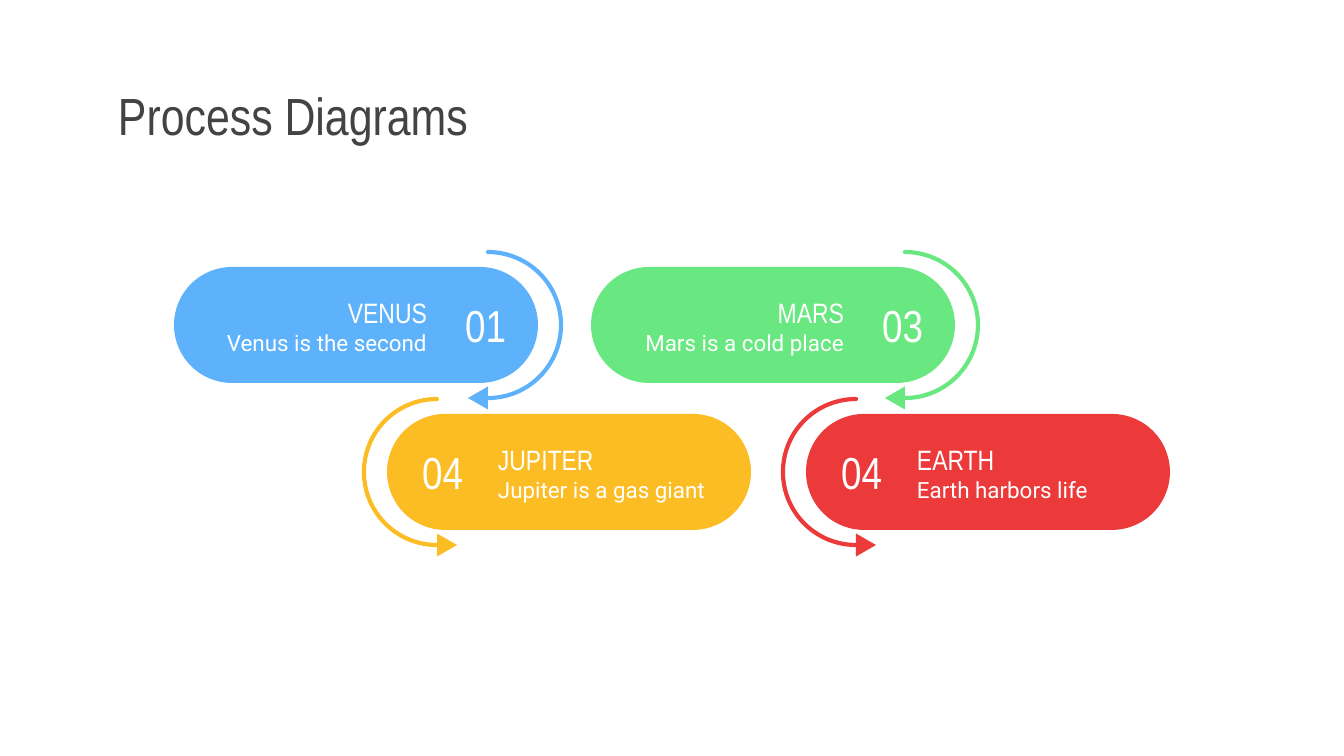
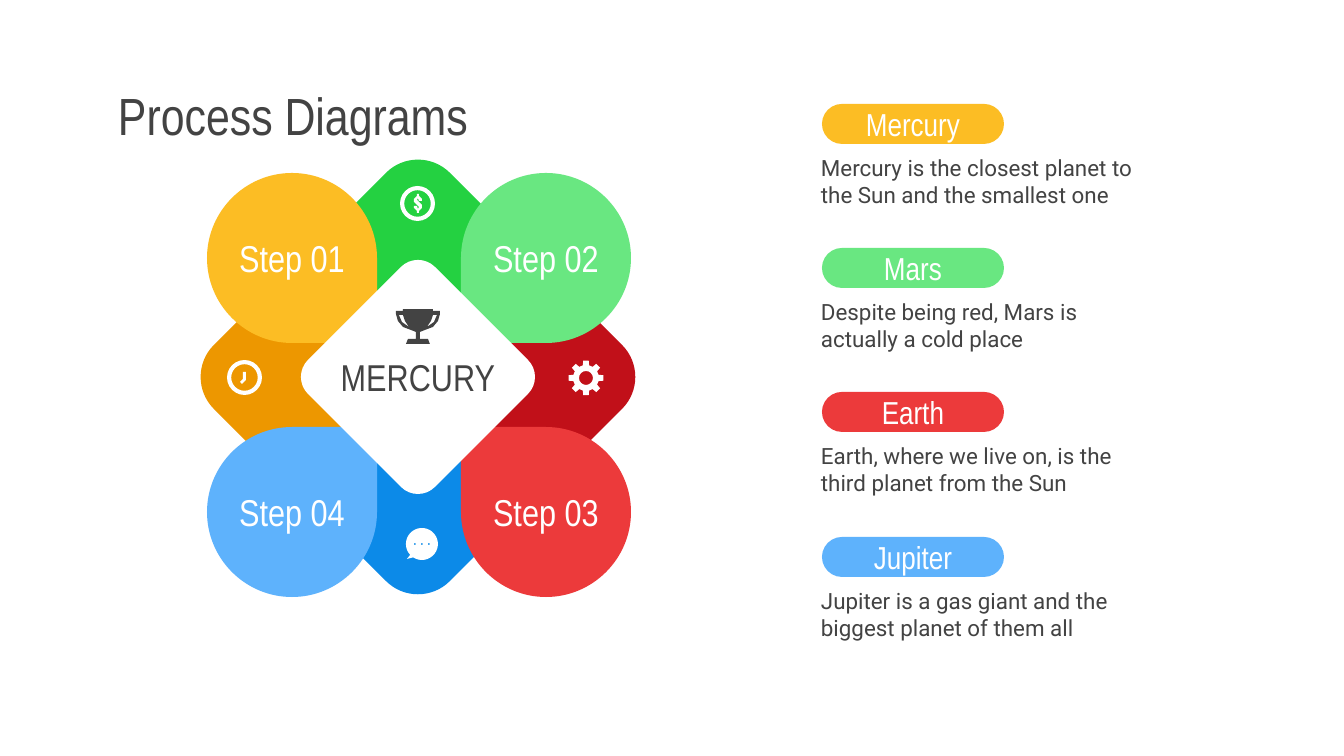
from math import ceil, cos, hypot, radians, sin, tan

from pptx import Presentation
from pptx.dml.color import RGBColor
from pptx.enum.shapes import MSO_SHAPE as Preset
from pptx.enum.text import MSO_ANCHOR as Anchor, PP_ALIGN as Align
from pptx.oxml.ns import qn
from pptx.util import Emu, Pt

EMU_PER_PX = 914400 / 134.4
SLIDE_SIZE = (1344, 756)
INSET = 13
CORNER_PULL = 0.55

HEADING_FONT, BODY_FONT = "Arial Narrow", "Roboto"
WHITE, DARK = "FFFFFF", "434343"
BLUE, YELLOW, RED, GREEN = "5EB2FC", "FCBD24", "EC3A3B", "69E781"
DEEP_GREEN, DEEP_RED, DEEP_BLUE, DEEP_YELLOW = "24D141", "C11019", "0C8AE8", "ED9700"

TITLE = "Process Diagrams"

PLANET_PILLS = [
    ("01", "VENUS", "Venus is the second", BLUE, 174, 267, "right"),
    ("04", "JUPITER", "Jupiter is a gas giant", YELLOW, 387, 414, "left"),
    ("04", "EARTH", "Earth harbors life", RED, 806, 414, "left"),
    ("03", "MARS", "Mars is a cold place", GREEN, 591, 267, "right"),
]
PILL_SIZE = (364, 116)
ARC_RADIUS = 73

CENTER = (418, 377)
WING = [(0, 0), (-118, -118), (0, -236), (118, -118)]
WING_COLORS = [DEEP_GREEN, DEEP_RED, DEEP_BLUE, DEEP_YELLOW]
HUB = [(0, -127), (127, 0), (0, 127), (-127, 0)]
PETALS = [
    ("Step 01", YELLOW, 0, 0),
    ("Step 02", GREEN, 1, 0),
    ("Step 03", RED, 1, 1),
    ("Step 04", BLUE, 0, 1),
]
PETAL_ORIGIN = (207, 173)
PETAL_SIZE, PETAL_STEP = 170, 254

LEGEND = [
    ("Mercury", "Mercury is the closest planet to the Sun and the smallest one", YELLOW),
    ("Mars", "Despite being red, Mars is actually a cold place", GREEN),
    ("Earth", "Earth, where we live on, is the third planet from the Sun", RED),
    ("Jupiter", "Jupiter is a gas giant and the biggest planet of them all", BLUE),
]
LEGEND_TOP, LEGEND_SPAN = 104, 433

RINGS = [(400, 186), (227, 360)]
DOLLAR = [
    (417, 194), (419, 194), (419, 196), (422, 199), (422, 201), (419, 201),
    (418, 198), (417, 200), (422, 205), (422, 208), (419, 211), (419, 213),
    (417, 213), (417, 211), (414, 208), (414, 206), (417, 206), (418, 209),
    (419, 207), (414, 202), (414, 199), (417, 196),
]
CLOCK_HANDS = [(243, 372), (246, 372), (246, 380), (242, 384), (240, 382), (243, 379)]
TROPHY_HALF = [
    (15, 309), (15, 311), (22, 311), (22, 314), (20, 321), (15, 327),
    (7, 330), (2, 332), (2, 339), (10, 339), (12, 344),
]
TROPHY_HANDLE = [(15, 315), (19, 315), (16, 322), (9, 327), (13, 321)]


def px(value):
    return Emu(round(value * EMU_PER_PX))


def color(value):
    return RGBColor.from_string(value)


def style_shape(shape, fill):
    shape.shadow.inherit = False
    shape.fill.solid()
    shape.fill.fore_color.rgb = color(fill)
    shape.line.fill.background()
    return shape


def write(shape, lines, ink, align=Align.LEFT, anchor=Anchor.MIDDLE):
    frame = shape.text_frame
    frame.word_wrap = True
    frame.vertical_anchor = anchor
    frame.margin_left = frame.margin_right = px(INSET)
    frame.margin_top = frame.margin_bottom = px(INSET)
    frame.text = "\n".join(text for text, font, size in lines)
    for paragraph, (text, font, size) in zip(frame.paragraphs, lines):
        paragraph.alignment = align
        for run in paragraph.runs:
            run.font.name = font
            run.font.size = Pt(size)
            run.font.color.rgb = color(ink)


def add_text(slide, box, lines, ink, align=Align.LEFT, anchor=Anchor.MIDDLE):
    write(slide.shapes.add_textbox(*map(px, box)), lines, ink, align, anchor)


def add_preset(slide, preset, box, fill):
    return style_shape(slide.shapes.add_shape(preset, *map(px, box)), fill)


def add_pill(slide, box, fill):
    pill = add_preset(slide, Preset.ROUNDED_RECTANGLE, box, fill)
    pill.adjustments[0] = 0.5
    return pill


def straight(points):
    return [(point,) for point in points]


def arc_segments(center, radius, start, end):
    count = ceil(abs(end - start) / 90)
    step = radians(end - start) / count
    pull = 4 / 3 * tan(step / 4)

    def point(angle, along):
        return (center[0] + radius * (cos(angle) - along * sin(angle)),
                center[1] + radius * (sin(angle) + along * cos(angle)))

    angles = [radians(start) + step * i for i in range(count)]
    curves = [(point(a, pull), point(a + step, -pull), point(a + step, 0)) for a in angles]
    return [(point(angles[0], 0),), *curves]


def round_corners(corners, radii):
    segments = []
    for i, (corner, radius) in enumerate(zip(corners, radii)):
        if not radius:
            segments.append((corner,))
            continue

        def toward(other, distance):
            dx, dy = other[0] - corner[0], other[1] - corner[1]
            share = distance / hypot(dx, dy)
            return corner[0] + dx * share, corner[1] + dy * share

        before, after = corners[i - 1], corners[(i + 1) % len(corners)]
        handle = radius * (1 - CORNER_PULL)
        segments.append((toward(before, radius),))
        segments.append((toward(before, handle), toward(after, handle), toward(after, radius)))
    return segments


def add_outline(slide, contours, fill, close=True):
    builder = None
    for contour in contours:
        start, *rest = [(px(x), px(y)) for segment in contour for x, y in segment]
        if builder is None:
            builder = slide.shapes.build_freeform(*start, scale=1.0)
        else:
            builder.move_to(*start)
        builder.add_line_segments(rest, close=close)
    shape = builder.convert_to_shape()

    lines = iter(list(shape.element.iter(qn("a:lnTo"))))
    for contour in contours:
        for segment in contour[1:]:
            curve, *others = [next(lines) for point in segment]
            if others:
                curve.tag = qn("a:cubicBezTo")
            for other in others:
                curve.append(other[0])
                other.getparent().remove(other)
    return style_shape(shape, fill)


def around_center(points, turns=0):
    for _ in range(turns):
        points = [(-y, x) for x, y in points]
    return [(CENTER[0] + x, CENTER[1] + y) for x, y in points]


def add_title(slide, width):
    add_text(slide, (105, 79, width, 71), [(TITLE, HEADING_FONT, 28)], DARK)


def add_planet_pill(slide, number, name, detail, fill, left, top, side):
    width, height = PILL_SIZE
    on_right = side == "right"
    direction = 1 if on_right else -1

    def offset(distance, part_width):
        return left + (distance if on_right else width - distance - part_width)

    add_pill(slide, (left, top, width, height), fill)
    add_text(slide, (offset(19, 247), top + 19, 247, 79),
             [(name, HEADING_FONT, 15), (detail, BODY_FONT, 12)], WHITE,
             Align.RIGHT if on_right else Align.LEFT)
    add_text(slide, (offset(275, 70), top + 26, 70, 63),
             [(number, HEADING_FONT, 24)], WHITE, Align.RIGHT)

    x, y = offset(314, 0), top + height / 2
    start = -90 if on_right else 270
    segments = arc_segments((x, y), ARC_RADIUS, start, start + 180 * direction)
    arc = add_outline(slide, [segments], fill, close=False)
    arc.fill.background()
    arc.line.color.rgb = color(fill)
    arc.line.width = Pt(2.25)
    arc.element.spPr.find(qn("a:ln")).set("cap", "rnd")

    tip_x, tip_y = x - 10 * direction, y + ARC_RADIUS
    head = add_preset(slide, Preset.ISOSCELES_TRIANGLE,
                      (tip_x - 11.5, tip_y - 10, 23, 20), fill)
    head.rotation = 270 if on_right else 90


def add_petal(slide, index, label, fill, column, row):
    left, top = PETAL_ORIGIN[0] + PETAL_STEP * column, PETAL_ORIGIN[1] + PETAL_STEP * row
    right, bottom = left + PETAL_SIZE, top + PETAL_SIZE
    radii = [PETAL_SIZE / 2] * 4
    radii[(index + 2) % 4] = 12
    corners = [(left, top), (right, top), (right, bottom), (left, bottom)]
    petal = add_outline(slide, [round_corners(corners, radii)], fill)
    write(petal, [(label, HEADING_FONT, 20)], WHITE, Align.CENTER)


def add_icons(slide):
    for left, top in RINGS:
        ring = add_preset(slide, Preset.DONUT, (left, top, 35, 35), WHITE)
        ring.adjustments[0] = 0.12
    add_outline(slide, [straight(DOLLAR)], WHITE)
    add_outline(slide, [straight(CLOCK_HANDS)], WHITE)

    gear_center = (586, 378)
    teeth = [
        (gear_center[0] + radius * cos(radians(angle + shift)),
         gear_center[1] + radius * sin(radians(angle + shift)))
        for angle in range(0, 360, 45)
        for shift, radius in ((-14, 13), (-9, 17.5), (9, 17.5), (14, 13))
    ]
    add_outline(slide, [straight(teeth), arc_segments(gear_center, 7, 360, 0)], WHITE)

    bubble = arc_segments((422, 544), 16, 137, 483) + straight([(407, 559)])
    dots = [arc_segments((x, 544), 1.2, 360, 0) for x in (415, 422, 429)]
    add_outline(slide, [bubble, *dots], WHITE)

    def mirrored(points, sign):
        return [(CENTER[0] + sign * x, y) for x, y in points]

    trophy = mirrored(TROPHY_HALF, 1) + mirrored(TROPHY_HALF, -1)[::-1]
    handles = [straight(mirrored(TROPHY_HANDLE, sign)) for sign in (1, -1)]
    add_outline(slide, [straight(trophy), *handles], DARK)


def add_legend(slide):
    for i, (name, detail, fill) in enumerate(LEGEND):
        top = LEGEND_TOP + LEGEND_SPAN * i // (len(LEGEND) - 1)
        add_text(slide, (808, top + 37, 343, 78), [(detail, BODY_FONT, 12)], DARK,
                 anchor=Anchor.TOP)
        pill = add_pill(slide, (822, top, 182, 40), fill)
        write(pill, [(name, HEADING_FONT, 17)], WHITE, Align.CENTER)


def build_pill_slide(slide):
    add_title(slide, 1136)
    for planet in PLANET_PILLS:
        add_planet_pill(slide, *planet)


def build_petal_slide(slide):
    for turns, fill in enumerate(WING_COLORS):
        wing = round_corners(around_center(WING, turns), [0, 0, 45, 0])
        add_outline(slide, [wing], fill)
    for index, petal in enumerate(PETALS):
        add_petal(slide, index, *petal)
    hub = add_outline(slide, [round_corners(around_center(HUB), [24] * 4)], WHITE)
    write(hub, [("MERCURY", HEADING_FONT, 20)], DARK, Align.CENTER)
    add_icons(slide)
    add_legend(slide)
    add_title(slide, 480)


def main():
    presentation = Presentation()
    presentation.slide_width, presentation.slide_height = map(px, SLIDE_SIZE)
    for build in (build_pill_slide, build_petal_slide):
        build(presentation.slides.add_slide(presentation.slide_layouts[6]))
    presentation.save("out.pptx")


if __name__ == "__main__":
    main()
